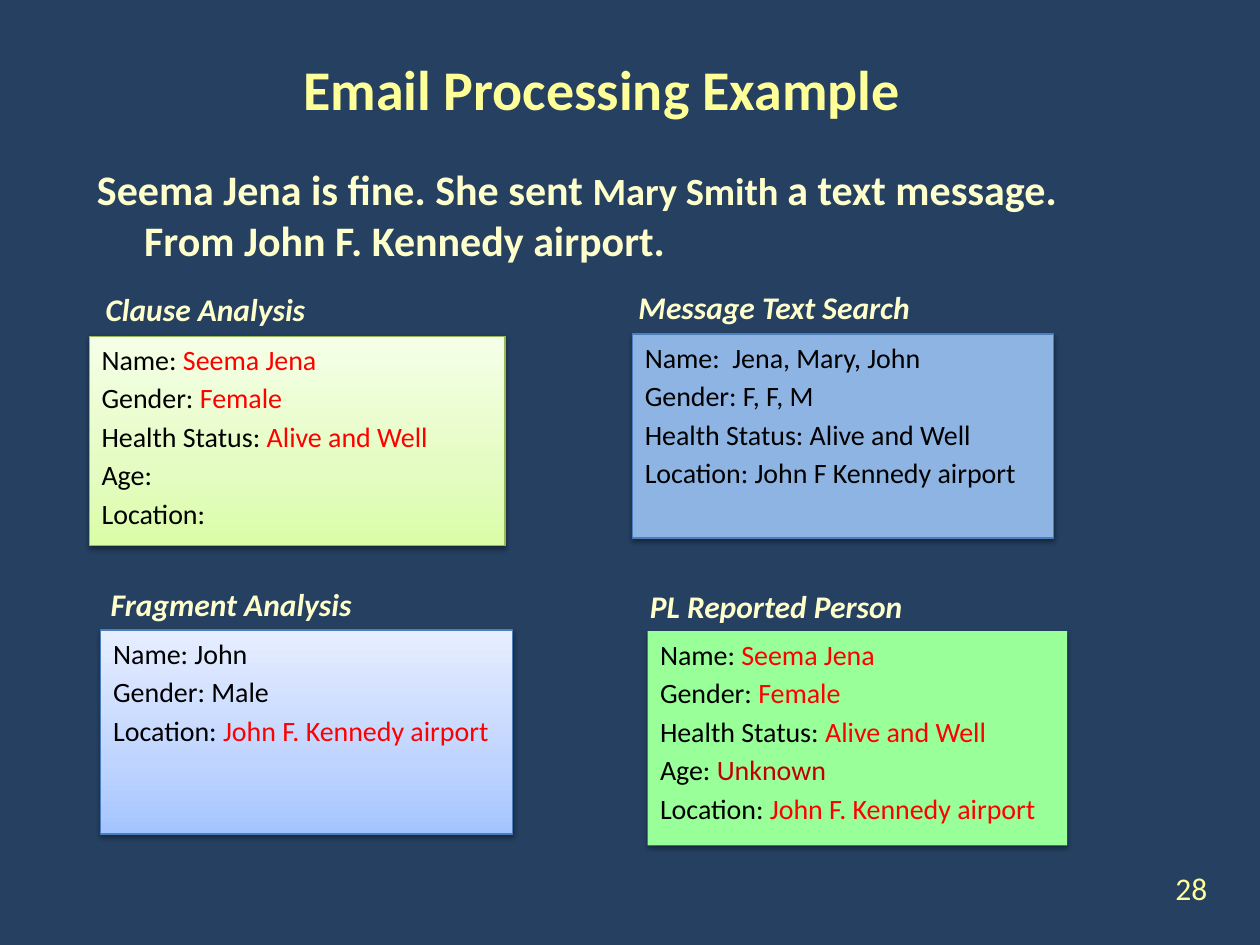
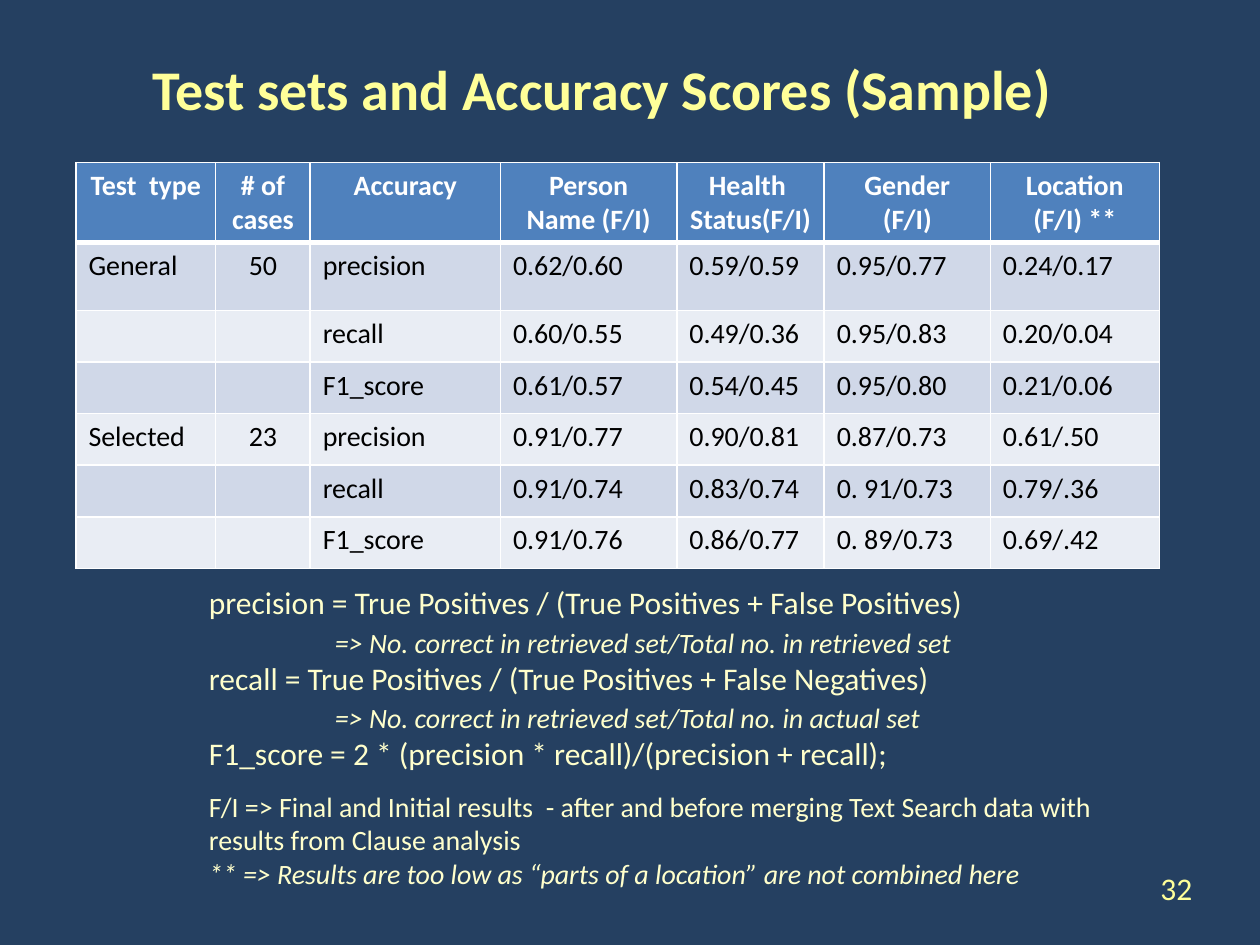
from lxml import etree
from pptx import Presentation
from pptx.dml.color import RGBColor
from pptx.enum import shapes, text
from pptx.oxml import ns
from pptx.util import Pt

# Theme
THEME = {
    "font": "Calibri",
    "back": "254061", "title": "FFFF99", "cream": "FFFFCC",
    "ink": "000000", "hot": "FF0000", "deep": "C00000", "white": "FFFFFF",
    "head": "4F81BD", "bands": ("D0D8E8", "E9EDF4"), "edge": "4B7EBC",
    "sizes": {"title": 32, "lead": 24, "lead2": 22, "label": 18, "text": 16},
}
SIZE = THEME["sizes"]
LEFT, MID = text.PP_ALIGN.LEFT, text.PP_ALIGN.CENTER
RIGHT = text.PP_ALIGN.RIGHT
HANG = {"marL": 27, "indent": -27}

# Slide 1 content: a line is a list of (words, colour name)
LEAD = [("Seema Jena is fine. She sent ", "lead"), ("Mary Smith ", "lead2"),
        ("a text message. From John F. Kennedy airport.", "lead")]
FOUND = [
    [("Name: ", "ink"), ("Seema Jena", "hot")],
    [("Gender: ", "ink"), ("Female", "hot")],
    [("Health Status: ", "ink"), ("Alive and Well", "hot")],
]
PLACE = [("Location: ", "ink"), ("John F. Kennedy airport", "hot")]
PANELS = [
    {"label": "Clause Analysis", "spot": (53.3, 162), "box": (51, 192.2, 237.6, 119.5),
     "fill": ("DAFDA7", "E4FCC2", "F5FFE7"), "line": "98B955",
     "lines": FOUND + [[("Age:", "ink")], [("Location:", "ink")]]},
    {"label": "Fragment Analysis", "spot": (56.2, 330.5), "box": (57.6, 360, 235.4, 116.6),
     "fill": ("A4C4FF", "BFD4FF", "E6EEFF"), "line": THEME["edge"],
     "lines": [[("Name: John", "ink")], [("Gender: Male", "ink")], PLACE]},
    {"label": "Message Text Search", "spot": (357.8, 161.3), "box": (361.4, 190.8, 240.5, 116.6),
     "fill": "8EB4E3", "line": THEME["edge"],
     "lines": [[(words, "ink")] for words in (
         "Name:  Jena, Mary, John", "Gender: F, F, M",
         "Health Status: Alive and Well", "Location: John F Kennedy airport")]},
    {"label": "PL Reported Person", "spot": (364.3, 332), "box": (370.1, 360.7, 239.8, 122.4),
     "fill": "99FF99", "line": None,
     "lines": FOUND + [[("Age: ", "ink"), ("Unknown", "deep")], PLACE]},
]

# Slide 2 content
HEADS = ["Test  type", "# of cases", "Accuracy", "Person Name (F/I)",
         "Health \nStatus(F/I)", "Gender\n(F/I)", "Location (F/I) **"]
SCORES = [
    ["General", "50", "precision", "0.62/0.60", "0.59/0.59", "0.95/0.77", "0.24/0.17"],
    ["", "", "recall", "0.60/0.55", "0.49/0.36", "0.95/0.83", "0.20/0.04"],
    ["", "", "F1_score", "0.61/0.57", "0.54/0.45", "0.95/0.80", "0.21/0.06"],
    ["Selected", "23", "precision", "0.91/0.77", "0.90/0.81", "0.87/0.73", "0.61/.50"],
    ["", "", "recall", "0.91/0.74", "0.83/0.74", "0. 91/0.73", "0.79/.36"],
    ["", "", "F1_score", "0.91/0.76", "0.86/0.77", "0. 89/0.73", "0.69/.42"],
]
COLS = [79.9, 54, 108.7, 100.8, 84.2, 95, 96.5]
ROWS = [29.5, 38.9] + [29.5] * 5
# words, size name, italic, left indent, space before
NOTES = [
    ("precision = True Positives / (True Positives + False Positives)", "label", False, 0, 0),
    ("=> No. correct in retrieved set/Total no. in retrieved set", "text", True, 72, 2.3),
    ("recall = True Positives / (True Positives + False Negatives)", "label", False, 0, 0),
    ("=> No. correct in retrieved set/Total no. in actual set", "text", True, 72, 2.3),
    ("F1_score = 2 * (precision * recall)/(precision + recall);", "label", False, 0, 0),
    ("F/I => Final and Initial results  - after and before merging Text Search "
     "data with results from Clause analysis", "text", False, 0, 9.8),
    ("** => Results are too low as “parts of a location” are not combined here",
     "text", True, 0, 0),
]


# Helpers
def rgb(code):
    return RGBColor.from_string(code)


def node(base, tag, **attrs):
    item = etree.SubElement(base, ns.qn("a:" + tag))
    for key, val in attrs.items():
        item.set(key, str(val))
    return item


def tint(base, code):
    return node(base, "srgbClr", val=code)


def place(shape, box):
    for key, val in zip(("left", "top", "width", "height"), box):
        setattr(shape, key, Pt(val))


def write(para, words, size, color, **style):
    run = para.add_run()
    run.text = words
    look = {"name": THEME["font"], "size": Pt(SIZE[size]), "bold": False} | style
    for key, val in look.items():
        setattr(run.font, key, val)
    run.font.color.rgb = rgb(color)


def indent(para, marL, indent=0):
    props = para._p.get_or_add_pPr()
    props.set("marL", str(Pt(marL)))
    props.set("indent", str(Pt(indent)))


def lines(frame, count):
    return [frame.paragraphs[0]] + [frame.add_paragraph() for _ in range(count - 1)]


def label(slide, box, words, color, wrap=True, align=LEFT, **style):
    frame = slide.shapes.add_textbox(*map(Pt, box)).text_frame
    frame.word_wrap = wrap
    frame.paragraphs[0].alignment = align
    write(frame.paragraphs[0], words, "label", color, **style)


def start(deck, layout, title, page, align):
    slide = deck.slides.add_slide(deck.slide_layouts[layout])
    head = slide.shapes.title
    place(head, (62, 28, 564, 45))
    frame = head.text_frame
    frame.vertical_anchor = text.MSO_ANCHOR.MIDDLE
    frame.paragraphs[0].alignment = MID
    write(frame.paragraphs[0], title, "title", THEME["title"], bold=True)
    label(slide, (656, 493.2, 41, 30), page, THEME["title"], align=align)
    return slide


def shade(shape):
    shape.shadow.inherit = False
    effects = shape._element.spPr.find(ns.qn("a:effectLst"))
    drop = node(effects, "outerShdw", blurRad=Pt(3.1), dist=Pt(1.6),
                dir=5400000, rotWithShape=0)
    node(tint(drop, THEME["ink"]), "alpha", val=38000)


def paint(shape, fill):
    if isinstance(fill, str):
        shape.fill.solid()
        shape.fill.fore_color.rgb = rgb(fill)
        return
    shape.fill.gradient()
    grad = shape._element.spPr.find(ns.qn("a:gradFill"))
    for part in list(grad):
        grad.remove(part)
    stops = node(grad, "gsLst")
    for spot, code in zip((0, 35000, 100000), fill):
        tint(node(stops, "gs", pos=spot), code)
    node(grad, "lin", ang=16200000, scaled=0)


def panel(slide, spec_box):
    shape = slide.shapes.add_shape(shapes.MSO_SHAPE.RECTANGLE, *map(Pt, spec_box["box"]))
    paint(shape, spec_box["fill"])
    if spec_box["line"]:
        shape.line.color.rgb = rgb(spec_box["line"])
        shape.line.width = Pt(0.75)
    else:
        shape.line.fill.background()
    shade(shape)
    frame = shape.text_frame
    frame.word_wrap = True
    frame.vertical_anchor = text.MSO_ANCHOR.TOP
    for para, runs in zip(lines(frame, len(spec_box["lines"])), spec_box["lines"]):
        para.alignment, para.space_before = LEFT, Pt(2.8)
        indent(para, **HANG)
        for words, color in runs:
            write(para, words, "text", THEME[color])
    label(slide, (*spec_box["spot"], 175, 29), spec_box["label"], THEME["cream"],
          wrap=False, bold=True, italic=True)


def fill_cell(cell, words, row, col):
    props = cell._tc.get_or_add_tcPr()
    widths = {"lnL": 1, "lnR": 1, "lnT": 3 if row == 1 else 1, "lnB": 1 if row else 3}
    for side, width in widths.items():
        tint(node(node(props, side, w=Pt(width)), "solidFill"), THEME["white"])
    cell.fill.solid()
    cell.fill.fore_color.rgb = rgb(THEME["bands"][(row - 1) % 2] if row else THEME["head"])
    parts = words.split("\n")
    for para, part in zip(lines(cell.text_frame, len(parts)), parts):
        para.alignment = MID if row == 0 or col == 1 else LEFT
        write(para, part, "text", THEME["ink" if row else "white"], bold=row == 0)


deck = Presentation()
deck.slide_width, deck.slide_height = Pt(720), Pt(540)
back = deck.slide_master.background.fill
back.solid()
back.fore_color.rgb = rgb(THEME["back"])

# Slide 1: sentence and four panels
slide = start(deck, 1, "Email Processing Example", "28", RIGHT)
body = slide.placeholders[1]
place(body, (48.2, 90, 619.2, 401))
body.text_frame.margin_right = Pt(20)
para = body.text_frame.paragraphs[0]
indent(para, **HANG)
node(para._p.get_or_add_pPr(), "buNone")
para.space_before = Pt(4.8)
for words, size in LEAD:
    write(para, words, size, THEME["cream"], bold=True)
for item in PANELS:
    panel(slide, item)

# Slide 2: score table and notes
slide = start(deck, 5, "Test sets and Accuracy Scores (Sample)", "32", LEFT)
grid = slide.shapes.add_table(len(ROWS), len(COLS), Pt(43.4), Pt(92.9),
                              Pt(sum(COLS)), Pt(sum(ROWS))).table
for col, width in zip(grid.columns, COLS):
    col.width = Pt(width)
for row, height in zip(grid.rows, ROWS):
    row.height = Pt(height)
for r, cells in enumerate([HEADS] + SCORES):
    for c, words in enumerate(cells):
        fill_cell(grid.cell(r, c), words, r, c)

frame = slide.shapes.add_textbox(Pt(112.3), Pt(329.8), Pt(526.3), Pt(184.3)).text_frame
frame.word_wrap = True
for para, (words, size, slant, inset, gap) in zip(lines(frame, len(NOTES)), NOTES):
    indent(para, inset)
    para.space_before = Pt(gap)
    write(para, words, size, THEME["cream"], italic=slant)

deck.save("out.pptx")
